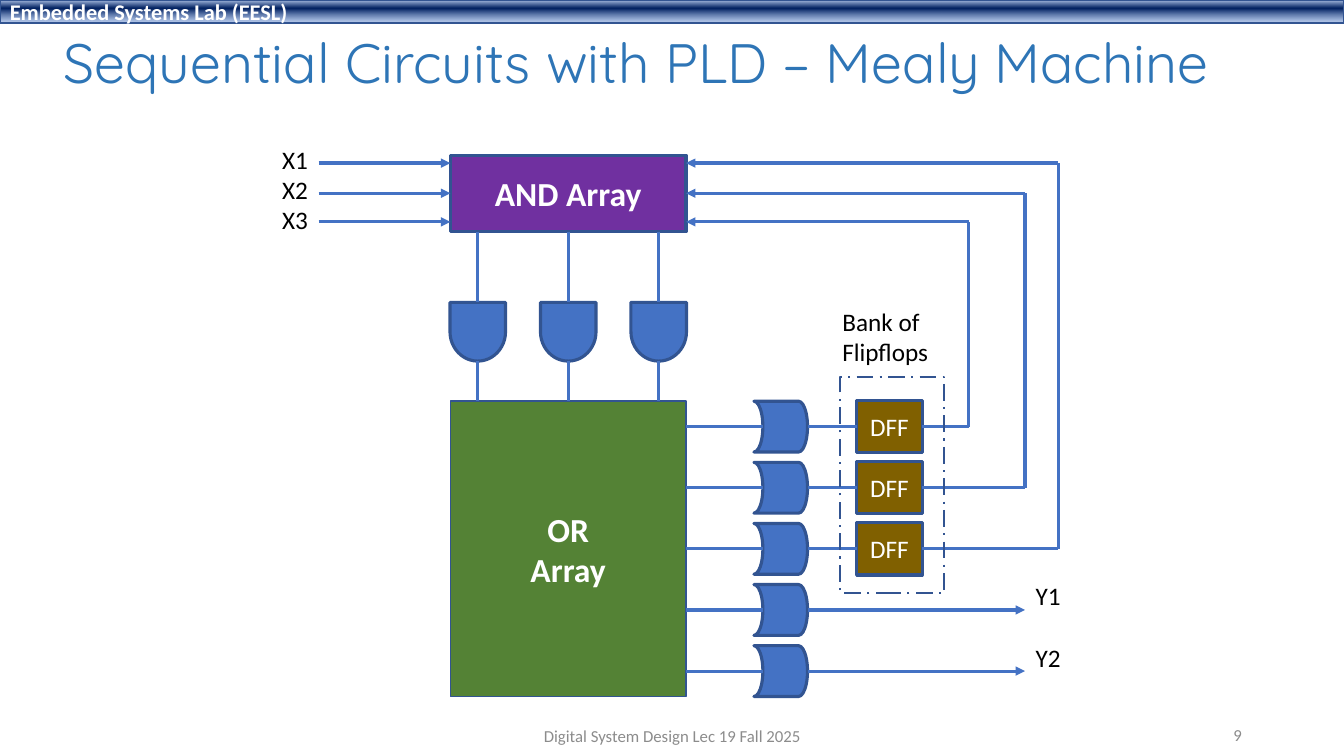
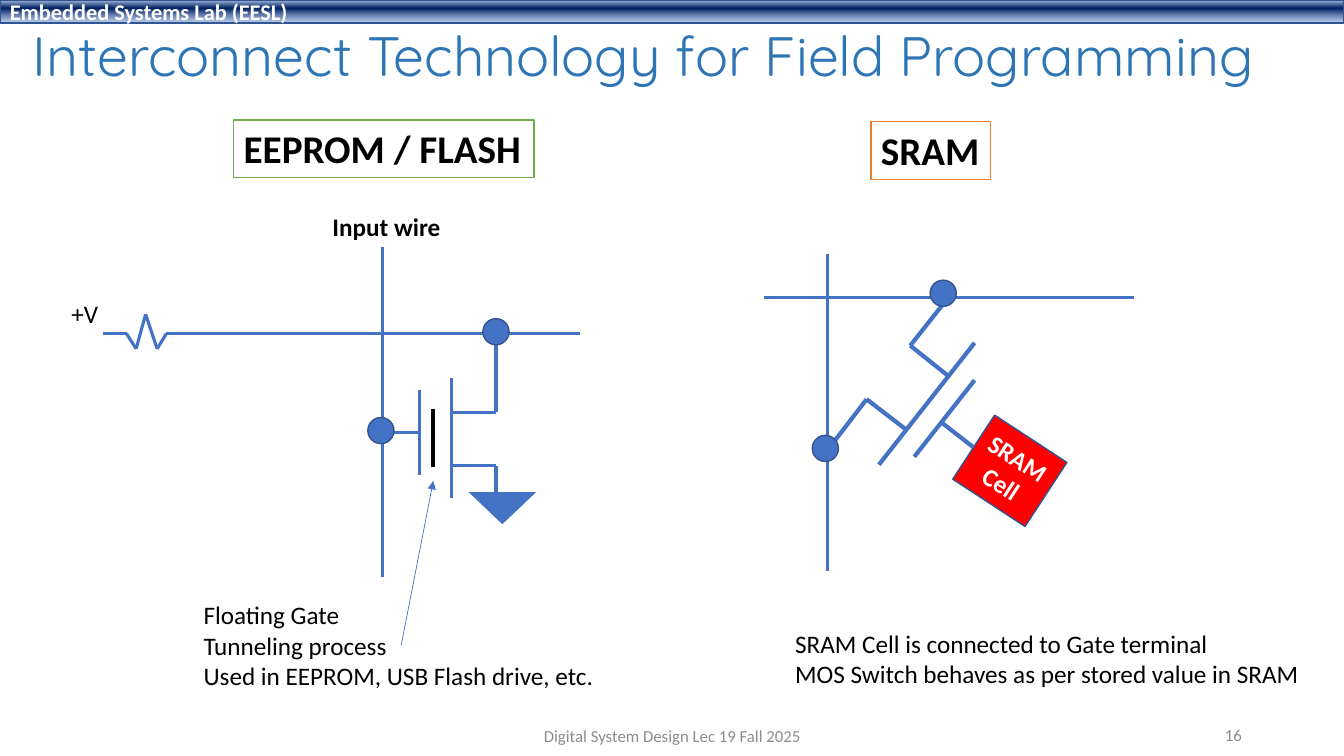
import pptx
import pptx.util
import pptx.dml.color
import pptx.enum.dml
import pptx.enum.shapes
import pptx.enum.text
import pptx.oxml.ns
from lxml import etree

Cm = pptx.util.Cm
Pt = pptx.util.Pt
RGB = pptx.dml.color.RGBColor
SHAPE = pptx.enum.shapes.MSO_SHAPE
ALIGN = pptx.enum.text.PP_ALIGN
ANCHOR = pptx.enum.text.MSO_ANCHOR
DASH = pptx.enum.dml.MSO_LINE
qn = pptx.oxml.ns.qn

BLUE = RGB(0x44, 0x72, 0xC4)
EDGE = RGB(0x32, 0x54, 0x91)
TITLE = RGB(0x2E, 0x75, 0xB6)
GRAY = RGB(0x8C, 0x8C, 0x8C)
BLACK = RGB(0, 0, 0)
WHITE = RGB(0xFF, 0xFF, 0xFF)
PURPLE = RGB(0x70, 0x30, 0xA0)
GREEN = RGB(0x54, 0x82, 0x35)
BROWN = RGB(0x80, 0x60, 0x00)
RED = RGB(0xFF, 0, 0)
LIGHT_GREEN = RGB(0x70, 0xAD, 0x47)
ORANGE = RGB(0xED, 0x7D, 0x31)
# Band gradient: position, colour, opacity (thousandths of a percent)
BAND_STOPS = [(2000, "ABC0E4", 100000), (38000, "002060", 100000),
              (93000, "7E9ED6", 64000)]


def write(sp, text, size=18, color=BLACK, bold=False, font="Calibri",
          align=ALIGN.LEFT, anchor=ANCHOR.TOP, wrap=True, spacing=None):
    """Fill a shape with text, one paragraph a line."""
    tf = sp.text_frame
    tf.word_wrap = wrap
    tf.vertical_anchor = anchor
    for i, words in enumerate(text.split("\n")):
        p = tf.paragraphs[0] if i == 0 else tf.add_paragraph()
        p.alignment = align
        if spacing:
            p.line_spacing = spacing
        r = p.add_run()
        r.text = words
        r.font.name = font
        r.font.size = Pt(size)
        r.font.bold = bold
        r.font.color.rgb = color


def label(s, at, x, y, w, h, text, **fmt):
    sp = s.shapes.add_textbox(Cm(at[0] + x), Cm(at[1] + y), Cm(w), Cm(h))
    write(sp, text, **fmt)


def shape(s, at, kind, x, y, w, h, fill=BLUE, edge=EDGE, width=1.0, rotation=0):
    sp = s.shapes.add_shape(kind, Cm(at[0] + x), Cm(at[1] + y), Cm(w), Cm(h))
    sp.shadow.inherit = False
    sp.rotation = rotation
    if fill is None:
        sp.fill.background()
    else:
        sp.fill.solid()
        sp.fill.fore_color.rgb = fill
    if edge is None:
        sp.line.fill.background()
    else:
        sp.line.color.rgb = edge
        sp.line.width = Pt(width)
    return sp


def block(s, at, x, y, w, h, text, fill, width=1.0, rotation=0, **fmt):
    """A filled rectangle with centred white text."""
    sp = shape(s, at, SHAPE.RECTANGLE, x, y, w, h, fill, width=width, rotation=rotation)
    write(sp, text, color=WHITE, align=ALIGN.CENTER, anchor=ANCHOR.MIDDLE, **fmt)
    return sp


def wire(s, at, *points, color=BLUE, width=2.25, arrow=False, start=None, end=None):
    """Connectors through the points; start and end are (shape, site) joints."""
    last = len(points) - 2
    for i, (a, b) in enumerate(zip(points, points[1:])):
        ends = [Cm(at[k] + pt[k]) for pt in (a, b) for k in (0, 1)]
        cn = s.shapes.add_connector(pptx.enum.shapes.MSO_CONNECTOR.STRAIGHT, *ends)
        if start and i == 0:
            cn.begin_connect(*start)
        if end and i == last:
            cn.end_connect(*end)
        cn.begin_x, cn.begin_y, cn.end_x, cn.end_y = ends
        cn.line.color.rgb = color
        cn.line.width = Pt(width)
        if arrow and i == last:
            etree.SubElement(cn.line._get_or_add_ln(), qn("a:tailEnd"), type="triangle")
        etree.SubElement(cn._element.spPr, qn("a:effectLst"))


def dot(s, at, x, y, d=0.66):
    shape(s, at, SHAPE.OVAL, x - d / 2, y - d / 2, d, d)


def frame(s, title, title_box, number):
    """Band, title, footer and slide number."""
    page = (0, 0)
    band = shape(s, page, SHAPE.RECTANGLE, 0, 0, 33.87, 0.58)
    band.fill.gradient()
    band.fill.gradient_angle = 270
    stops = band._element.spPr.find(".//" + qn("a:gsLst"))
    for gs in list(stops):
        stops.remove(gs)
    for pos, color, alpha in BAND_STOPS:
        gs = etree.SubElement(stops, qn("a:gs"), pos=str(pos))
        clr = etree.SubElement(gs, qn("a:srgbClr"), val=color)
        etree.SubElement(clr, qn("a:alpha"), val=str(alpha))
    write(band, "Embedded Systems Lab (EESL)", size=16, color=WHITE, bold=True,
          anchor=ANCHOR.MIDDLE)
    label(s, page, *title_box, title, size=39.6, color=TITLE, font="Quicksand",
          anchor=ANCHOR.MIDDLE, spacing=0.9)
    small = dict(size=12, color=GRAY, anchor=ANCHOR.MIDDLE)
    label(s, page, 11.23, 18.03, 11.43, 1.02, "Digital System Design Lec 19 Fall 2025",
          align=ALIGN.CENTER, **small)
    label(s, page, 23.93, 18.01, 7.62, 1.02, number, align=ALIGN.RIGHT, **small)


def mealy_machine(s, at):
    left, right, mid = 4.49, 10.43, 7.46
    and_array = block(s, at, left, 0.4, 5.94, 1.93, "AND Array", PURPLE,
                      width=2.25, size=24, bold=True)
    or_array = block(s, at, left, 6.6, 5.94, 7.44, "OR\nArray", GREEN, size=24, bold=True)

    # Inputs
    label(s, at, 0, 0, 1.17, 2.57, "X1\nX2\nX3", wrap=False)
    lines = [0.6, 1.36, 2.08]
    for i, y in enumerate(lines):
        wire(s, at, (1.17, y), (left, y), arrow=True,
             end=(and_array, 1) if i == 1 else None)

    # AND gates between the arrays
    for i in range(3):
        x = mid + 2.28 * (i - 1)
        shape(s, at, SHAPE.FLOWCHART_DELAY, x - 0.74, 4.15, 1.48, 1.4,
              width=2.25, rotation=90)
        wire(s, at, (x, 2.33), (x, 4.11), start=(and_array, 2) if i == 1 else None)
        wire(s, at, (x, 5.59), (x, 6.6), end=(or_array, 0) if i == 1 else None)

    # OR gates: three feed the flip-flops and return, two are outputs
    feedback = [17.55, 18.97, 19.81]
    for i in range(5):
        y = 7.24 + 1.54 * i
        shape(s, at, SHAPE.FLOWCHART_STORED_DATA, 12.14, y - 0.64, 1.35, 1.28,
              width=2.25, rotation=180)
        wire(s, at, (right, y), (12.37, y), start=(or_array, 3) if i == 2 else None)
        if i < 3:
            dff = block(s, at, 14.73, y - 0.66, 1.65, 1.32, "DFF", BROWN,
                        width=2.25, wrap=False)
            wire(s, at, (13.49, y), (14.73, y), end=(dff, 1))
            back = lines[2 - i]
            wire(s, at, (16.38, y), (feedback[i], y), (feedback[i], back), (right, back),
                 arrow=True, start=(dff, 3), end=(and_array, 3) if i == 1 else None)
        else:
            wire(s, at, (13.49, y), (18.97, y), arrow=True)
            label(s, at, 18.99, y - 0.86, 1.14, 1.02, f"Y{i - 2}", wrap=False)

    # Flip-flop bank
    bank = shape(s, at, SHAPE.RECTANGLE, 14.32, 5.99, 2.62, 5.44, fill=None, width=1.5)
    bank.line.dash_style = DASH.LONG_DASH_DOT
    label(s, at, 14.12, 4.08, 2.69, 1.8, "Bank of\nFlipflops", wrap=False)


def heading(s, at, x, w, text, edge):
    sp = shape(s, at, SHAPE.RECTANGLE, x, 0, w, 1.45, WHITE, edge)
    write(sp, text, size=28, bold=True, wrap=False)


def eeprom_cell(s, at):
    heading(s, at, 4.34, 7.57, "EEPROM / FLASH", LIGHT_GREEN)
    label(s, at, 6.58, 2.19, 3.25, 1.02, "Input wire", bold=True, wrap=False)
    label(s, at, 0, 4.37, 1.19, 1.02, "+V", wrap=False)

    # Crossing wires, with the resistor at the left
    wire(s, at, (8.1, 3.2), (8.1, 11.53))
    wire(s, at, (1.04, 5.39), (1.64, 5.39), (1.88, 5.77), (2.12, 4.9), (2.41, 5.77),
         (2.64, 5.39), (13.06, 5.39))

    # Transistor: channel, gate, drain, source, gate lead
    wire(s, at, (9.83, 6.5), (9.83, 9.53))
    wire(s, at, (9.02, 6.81), (9.02, 8.94))
    wire(s, at, (9.83, 7.37), (10.95, 7.37), (10.95, 5.39))
    wire(s, at, (9.83, 8.71), (10.95, 8.71), (10.95, 9.48))
    wire(s, at, (8.1, 7.88), (9.02, 7.88))
    shape(s, at, SHAPE.ISOSCELES_TRIANGLE, 10.26, 9.38, 1.7, 0.81, edge=None, rotation=180)
    dot(s, at, 8.05, 7.83)
    dot(s, at, 10.95, 5.34)

    # Floating gate and its note
    wire(s, at, (9.37, 7.29), (9.37, 8.74), color=BLACK, width=3)
    wire(s, at, (8.56, 13.24), (9.37, 9.1), width=0.5, arrow=True)
    label(s, at, 3.33, 11.97, 10.44, 2.57,
          "Floating Gate\nTunneling process\nUsed in EEPROM, USB Flash drive, etc.",
          wrap=False)


def sram_cell(s, at):
    heading(s, at, 2.7, 3.02, "SRAM", ORANGE)

    # Crossing wires
    wire(s, at, (1.6, 3.33), (1.6, 11.31))
    wire(s, at, (0, 4.42), (9.33, 4.42))

    # Transistor: channel, gate, both terminals, cell lead
    cell = block(s, at, 5.11, 7.83, 2.18, 1.93, "SRAM\nCell", RED, rotation=33.2,
                 bold=True, wrap=False)
    wire(s, at, (2.9, 8.64), (5.31, 5.57), width=3)
    wire(s, at, (3.79, 8.44), (5.31, 6.51), width=3)
    wire(s, at, (3.58, 7.75), (2.59, 6.99), (1.6, 8.28), width=3)
    wire(s, at, (4.68, 6.43), (3.69, 5.64), (4.63, 4.45), width=3)
    wire(s, at, (4.47, 7.57), (5.28, 8.2), width=3, end=(cell, 1))
    dot(s, at, 4.52, 4.32)
    dot(s, at, 1.55, 8.23)

    label(s, at, 0.54, 12.63, 13.34, 1.8,
          "SRAM Cell is connected to Gate terminal\n"
          "MOS Switch behaves as per stored value in SRAM", wrap=False)


def main():
    prs = pptx.Presentation()
    prs.slide_width, prs.slide_height = Cm(33.87), Cm(19.05)
    blank = prs.slide_layouts[6]

    s = prs.slides.add_slide(blank)
    frame(s, "Sequential Circuits with PLD – Mealy Machine", (1.35, 0.71, 31.55, 1.9), "9")
    mealy_machine(s, (6.86, 3.51))

    s = prs.slides.add_slide(blank)
    frame(s, "Interconnect Technology for Field Programming", (0.58, 0.41, 33.27, 2.13), "16")
    eeprom_cell(s, (1.55, 3.02))
    sram_cell(s, (19.25, 3.07))

    prs.save("out.pptx")


if __name__ == "__main__":
    main()
